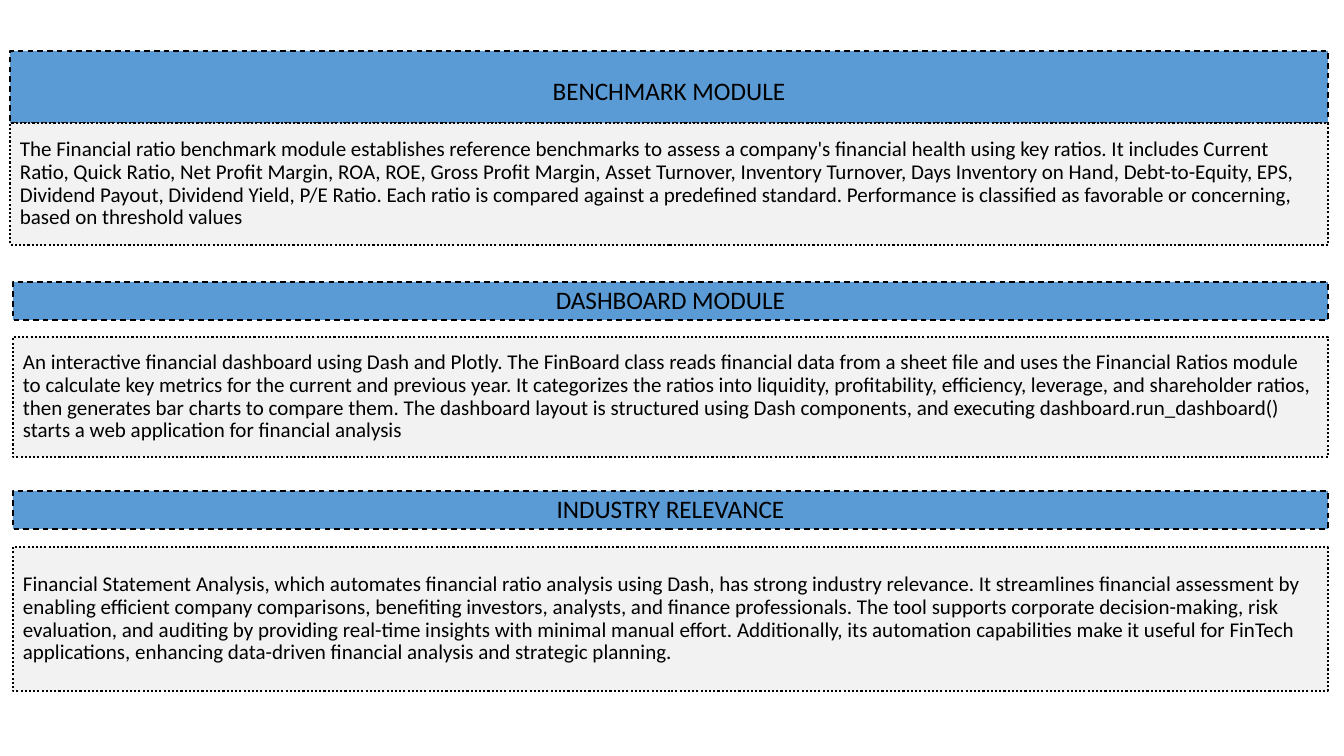
"""Build a slide with three titled module descriptions."""
from pptx import Presentation
from pptx.dml.color import RGBColor
from pptx.enum.dml import MSO_LINE
from pptx.enum.shapes import MSO_SHAPE
from pptx.enum.text import MSO_ANCHOR, PP_ALIGN
from pptx.util import Emu, Pt

RECTANGLE = MSO_SHAPE.RECTANGLE
DASH, DOTS = MSO_LINE.DASH, MSO_LINE.ROUND_DOT
LEFT, CENTER = PP_ALIGN.LEFT, PP_ALIGN.CENTER
MIDDLE = MSO_ANCHOR.MIDDLE
PX = 914400 / 100.8


def px(length):
    return Emu(round(length * PX))


def color(value):
    return RGBColor.from_string(value)


deck = Presentation()
deck.slide_width, deck.slide_height = px(1344), px(756)
page = deck.slides.add_slide(deck.slide_layouts[6])

heading_style = ("5B9BD5", DASH, 1, 18, CENTER, 0)
body_style = ("F2F2F2", DOTS, 1.5, 15, LEFT, 10)

sections = [
    (10, 1318, 51, 72, 15, 123, 122, "BENCHMARK MODULE",
     "The Financial ratio benchmark module establishes reference benchmarks to assess a "
     "company's financial health using key ratios. It includes Current Ratio, Quick Ratio, "
     "Net Profit Margin, ROA, ROE, Gross Profit Margin, Asset Turnover, Inventory Turnover, "
     "Days Inventory on Hand, Debt-to-Equity, EPS, Dividend Payout, Dividend Yield, P/E Ratio. "
     "Each ratio is compared against a predefined standard. Performance is classified as "
     "favorable or concerning, based on threshold values"),
    (13, 1315, 282, 38, 5, 337, 120, "DASHBOARD MODULE",
     "An interactive financial dashboard using Dash and Plotly. The FinBoard class reads "
     "financial data from a sheet file and uses the Financial Ratios module to calculate key "
     "metrics for the current and previous year. It categorizes the ratios into liquidity, "
     "profitability, efficiency, leverage, and shareholder ratios, then generates bar charts "
     "to compare them. The dashboard layout is structured using Dash components, and executing "
     "dashboard.run_dashboard() starts a web application for financial analysis"),
    (13, 1315, 491, 38, 5, 547, 144, "INDUSTRY RELEVANCE",
     "Financial Statement Analysis, which automates financial ratio analysis using Dash, has "
     "strong industry relevance. It streamlines financial assessment by enabling efficient "
     "company comparisons, benefiting investors, analysts, and finance professionals. The tool "
     "supports corporate decision-making, risk evaluation, and auditing by providing real-time "
     "insights with minimal manual effort. Additionally, its automation capabilities make it "
     "useful for FinTech applications, enhancing data-driven financial analysis and strategic "
     "planning."),
]

for left, width, heading_top, heading_height, inset, body_top, body_height, heading, body in sections:
    for top, height, margin, text, style in (
        (heading_top, heading_height, inset, heading, heading_style),
        (body_top, body_height, 5, body, body_style),
    ):
        fill, dash, line_width, size, alignment, space = style
        box = page.shapes.add_shape(RECTANGLE, px(left), px(top), px(width), px(height))
        box.shadow.inherit = False
        box.fill.solid()
        box.fill.fore_color.rgb = color(fill)
        box.line.color.rgb = color("000000")
        box.line.width = Pt(line_width)
        box.line.dash_style = dash
        frame = box.text_frame
        frame.word_wrap = True
        frame.vertical_anchor = MIDDLE
        frame.margin_top = px(margin)
        frame.text = text
        para = frame.paragraphs[0]
        para.alignment = alignment
        para.line_spacing = 0.9
        para.space_before = Pt(space)
        span = para.runs[0]
        span.font.name = "Calibri"
        span.font.size = Pt(size)
        span.font.color.rgb = color("000000")

deck.save("out.pptx")
